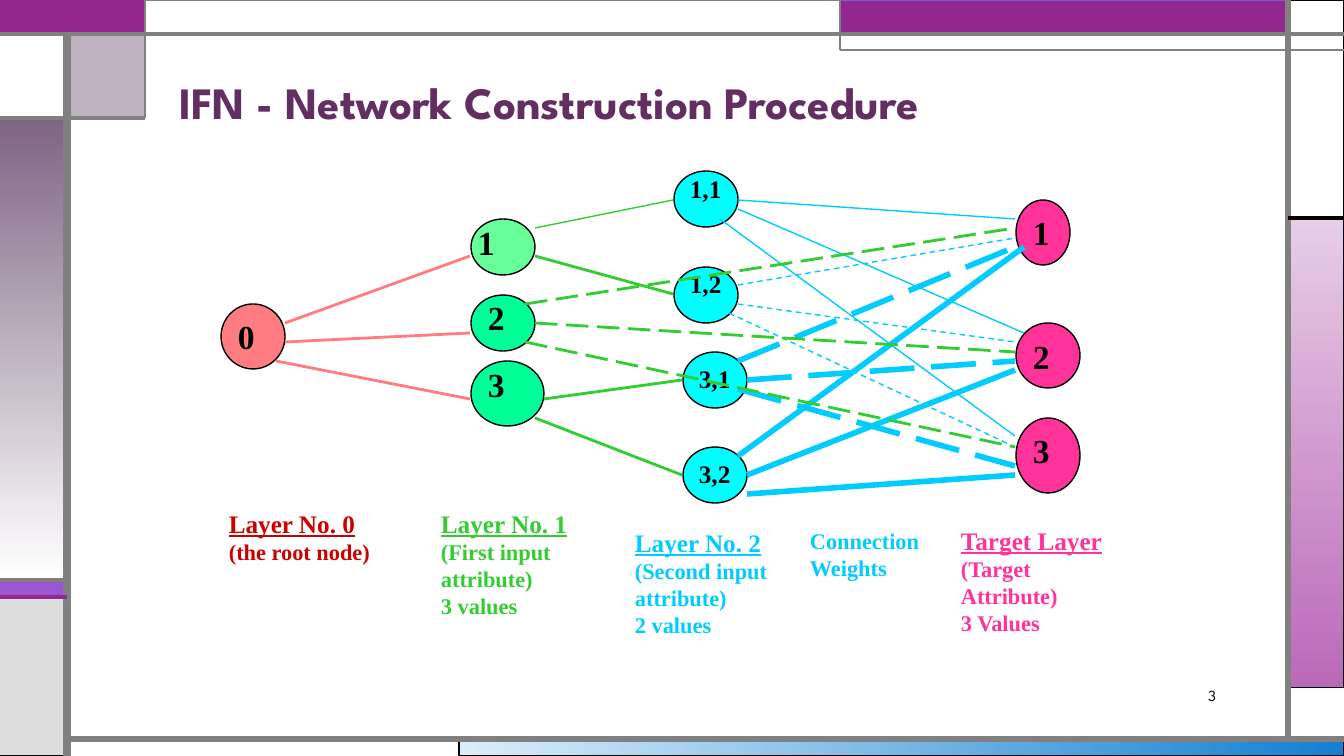
from dataclasses import dataclass
from typing import Optional

from lxml import etree
from pptx import Presentation
from pptx.dml.color import RGBColor
from pptx.enum.dml import MSO_LINE
from pptx.enum.shapes import MSO_CONNECTOR, MSO_SHAPE
from pptx.enum.text import MSO_ANCHOR, MSO_AUTO_SIZE, PP_ALIGN
from pptx.oxml.ns import qn
from pptx.util import Emu, Pt

RECT, OVAL = MSO_SHAPE.RECTANGLE, MSO_SHAPE.OVAL
LINE = MSO_CONNECTOR.STRAIGHT
DASH, LONG = MSO_LINE.DASH, MSO_LINE.LONG_DASH
TOP, MID, BOTTOM = MSO_ANCHOR.TOP, MSO_ANCHOR.MIDDLE, MSO_ANCHOR.BOTTOM
LEFT, RIGHT = PP_ALIGN.LEFT, PP_ALIGN.RIGHT
GROW, FIXED = MSO_AUTO_SIZE.SHAPE_TO_FIT_TEXT, MSO_AUTO_SIZE.NONE

WIDTH, HEIGHT = 1344, 756
SCALE = 12192000 / WIDTH
SERIF, SANS = "Times New Roman", "League Spartan"

COLORS = {
    "black": "000000", "white": "FFFFFF", "gray": "808080", "silver": "DDDDDD",
    "plum": "92278F", "violet": "9B57D3", "iris": "755DD9", "mauve": "7E6583",
    "lilac": "E8CDE7", "orchid": "BA69B8", "ice": "DAEDFB", "blue": "1480D1",
    "title": "632E62", "red": "CC0000", "coral": "FF7C80", "green": "33CC33",
    "mint": "66FF99", "jade": "00FF99", "aqua": "00FFFF", "sky": "00CCFF",
    "pink": "FF3399",
}


@dataclass
class Panel:
    box: tuple[int, int, int, int]
    fill: str
    fade: Optional[str] = None
    angle: int = 0
    line: str = "black"
    width: float = 0.75
    alpha: int = 100


@dataclass
class Node:
    name: str
    box: tuple[int, int, int, int]
    fill: str
    label: tuple[int, int]


@dataclass
class Edge:
    ends: tuple[int, int, int, int]
    color: str
    width: float
    dash: Optional[MSO_LINE] = None


@dataclass
class Note:
    box: tuple[int, int, int, int]
    color: str
    head: str
    lines: tuple[str, ...] = ()


# Frame around the slide
EDGE, SIDE, BAR, BASE = 1288, 67, 34, 739
PANELS = [
    Panel((459, BASE, 885, 17), "ice", "blue"),
    Panel((EDGE, 218, 56, 470), "lilac", "orchid", 270),
    Panel((0, 580, SIDE, 17), "violet"),
    Panel((0, 597, SIDE, 159), "silver"),
    Panel((EDGE, 0, 56, 218), "white"),
    Panel((840, 0, 448, BAR), "plum", line="iris"),
    Panel((SIDE, BAR, 79, 84), "mauve", alpha=50),
    Panel((0, 118, SIDE, 462), "mauve", "white", 270),
    Panel((0, BAR, SIDE, 84), "white"),
    Panel((0, 0, 145, BAR), "plum", line="plum", width=1.5),
    Panel((145, 0, 695, BAR), "white", line="gray"),
]
RULES = [
    Edge((SIDE, HEIGHT, SIDE, BAR), "gray", 6),
    Edge((SIDE, BASE, WIDTH, BASE), "gray", 4.5),
    Edge((EDGE, BASE, EDGE, 0), "gray", 4.5),
    Edge((0, BAR, WIDTH, BAR), "gray", 3),
    Edge((WIDTH, 50, 840, 50), "gray", 1.5),
    Edge((840, 50, 840, 0), "gray", 1.5),
    Edge((EDGE, 218, WIDTH, 218), "black", 2.25),
    Edge((145, 0, 145, 118), "gray", 1.5),
    Edge((145, 118, 0, 118), "gray", 2.25),
    Edge((SIDE, 580, 0, 580), "gray", 2.25),
    Edge((SIDE, 597, 0, 597), "plum", 2.25),
]

# Network nodes, from the root to the targets
NODES = [
    Node("0", (221, 304, 64, 65), "coral", (228, 311)),
    Node("1", (471, 219, 64, 56), "mint", (468, 217)),
    Node("2", (471, 295, 64, 56), "jade", (478, 292)),
    Node("3", (471, 361, 73, 65), "jade", (478, 359)),
    Node("1,1", (674, 171, 64, 56), "aqua", (680, 168)),
    Node("1,2", (674, 267, 64, 56), "aqua", (680, 263)),
    Node("3,1", (683, 352, 64, 56), "aqua", (689, 358)),
    Node("3,2", (683, 447, 64, 56), "aqua", (689, 453)),
    Node("1", (1016, 200, 54, 65), "pink", (1023, 207)),
    Node("2", (1016, 323, 64, 65), "pink", (1023, 331)),
    Node("3", (1016, 418, 64, 75), "pink", (1023, 425)),
]

# Links that share a style: colour, width, dash, ends
LINKS = [
    ("coral", 2, None, [(285, 323, 470, 256), (285, 342, 470, 333), (276, 361, 470, 399)]),
    ("green", 1, None, [(535, 228, 673, 200)]),
    ("green", 2, None, [(535, 256, 673, 294), (544, 399, 682, 380), (535, 418, 682, 475)]),
    ("sky", 1, None, [(738, 200, 1015, 219), (738, 209, 1024, 333), (720, 219, 1015, 436)]),
    ("sky", 1, DASH, [(738, 285, 1015, 238), (738, 304, 1015, 342), (729, 313, 1015, 447)]),
    ("sky", 4, LONG, [(738, 361, 1015, 247), (747, 380, 1015, 361), (738, 389, 1015, 466)]),
    ("sky", 4, None, [(738, 456, 1024, 247), (747, 475, 1015, 370), (747, 494, 1015, 475)]),
    ("green", 2, LONG, [(535, 323, 1015, 352), (525, 342, 1015, 447), (525, 304, 1015, 228)]),
]

NOTES = [
    Note((219, 503, 177, 108), "red", "Layer No. 0", ("(the root node)",)),
    Note((431, 503, 168, 137), "green", "Layer No. 1", ("(First input attribute)", "3 values")),
    Note((625, 522, 168, 137), "sky", "Layer No. 2", ("(Second input attribute)", "2 values")),
    Note((800, 522, 168, 73), "sky", "Connection Weights"),
    Note((951, 520, 166, 178), "pink", "Target Layer", ("(Target Attribute)", "3 Values")),
]


def px(*nums: int) -> list[Emu]:
    return [Emu(round(num * SCALE)) for num in nums]


def rgb(name: str) -> RGBColor:
    return RGBColor.from_string(COLORS[name])


def write(shape, *lines: str, size: float, color: str = "black", font: str = SERIF,
          bold: bool = True, head: Optional[float] = None, align=LEFT, anchor=TOP,
          wrap: bool = True, fit=GROW, space: Optional[float] = None) -> None:
    """Fill a shape with paragraphs; head is the size of an underlined first one."""
    frame = shape.text_frame
    frame.text = "\n".join(lines)
    frame.word_wrap, frame.auto_size, frame.vertical_anchor = wrap, fit, anchor
    for i, para in enumerate(frame.paragraphs):
        top = head is not None and i == 0
        para.alignment, para.line_spacing = align, space
        face = para.runs[0].font
        face.name, face.bold, face.size = font, bold, Pt(head if top else size)
        face.color.rgb = rgb(color)
        if top:
            face.underline = True


def draw(slide, kind, box: tuple, fill: str, line: str = "black", width: float = 1):
    shape = slide.shapes.add_shape(kind, *px(*box))
    shape.shadow.inherit = False
    shape.fill.solid()
    shape.fill.fore_color.rgb = rgb(fill)
    shape.line.color.rgb, shape.line.width = rgb(line), Pt(width)
    return shape


def panel(slide, item: Panel) -> None:
    shape = draw(slide, RECT, item.box, item.fill, item.line, item.width)
    if item.fade:
        shape.fill.gradient()
        shape.fill.gradient_angle = item.angle
        for stop, name in zip(shape.fill.gradient_stops, (item.fill, item.fade)):
            stop.color.rgb = rgb(name)
    if item.alpha < 100:
        tint = shape._element.spPr.find(qn("a:solidFill"))[0]
        etree.SubElement(tint, qn("a:alpha"), val=str(item.alpha * 1000))


def link(slide, edge: Edge) -> None:
    wire = slide.shapes.add_connector(LINE, *px(*edge.ends))
    wire.line.color.rgb, wire.line.width = rgb(edge.color), Pt(edge.width)
    if edge.dash is not None:
        wire.line.dash_style = edge.dash
    etree.SubElement(wire._element.spPr, qn("a:effectLst"))


def main() -> None:
    deck = Presentation()
    deck.slide_width, deck.slide_height = px(WIDTH, HEIGHT)
    slide = deck.slides.add_slide(deck.slide_layouts[5])
    shapes = slide.shapes

    # Frame
    for item in PANELS:
        panel(slide, item)
    for rule in RULES:
        link(slide, rule)

    # Title and slide number
    title = shapes.title
    title.left, title.top, title.width, title.height = px(169, 50, 1058, 84)
    write(title, "IFN - Network Construction Procedure", size=32, color="title",
          font=SANS, anchor=BOTTOM, fit=FIXED, space=0.9)
    write(shapes.add_textbox(*px(1117, 680, 109, 30)), "3", size=11, font=SANS,
          bold=False, align=RIGHT, anchor=MID, fit=FIXED)

    # Network
    for node in NODES:
        draw(slide, OVAL, node.box, node.fill)
        pair = "," in node.name
        area = (57, 45) if pair else (41, 57)
        write(shapes.add_textbox(*px(*node.label, *area)), node.name,
              size=18 if pair else 24, wrap=False)
    for color, width, dash, ends in LINKS:
        for end in ends:
            link(slide, Edge(end, color, width, dash))

    # Layer captions
    for note in NOTES:
        write(shapes.add_textbox(*px(*note.box)), note.head, *note.lines, size=16,
              color=note.color, head=18 if note.lines else None)

    deck.save("out.pptx")


if __name__ == "__main__":
    main()
